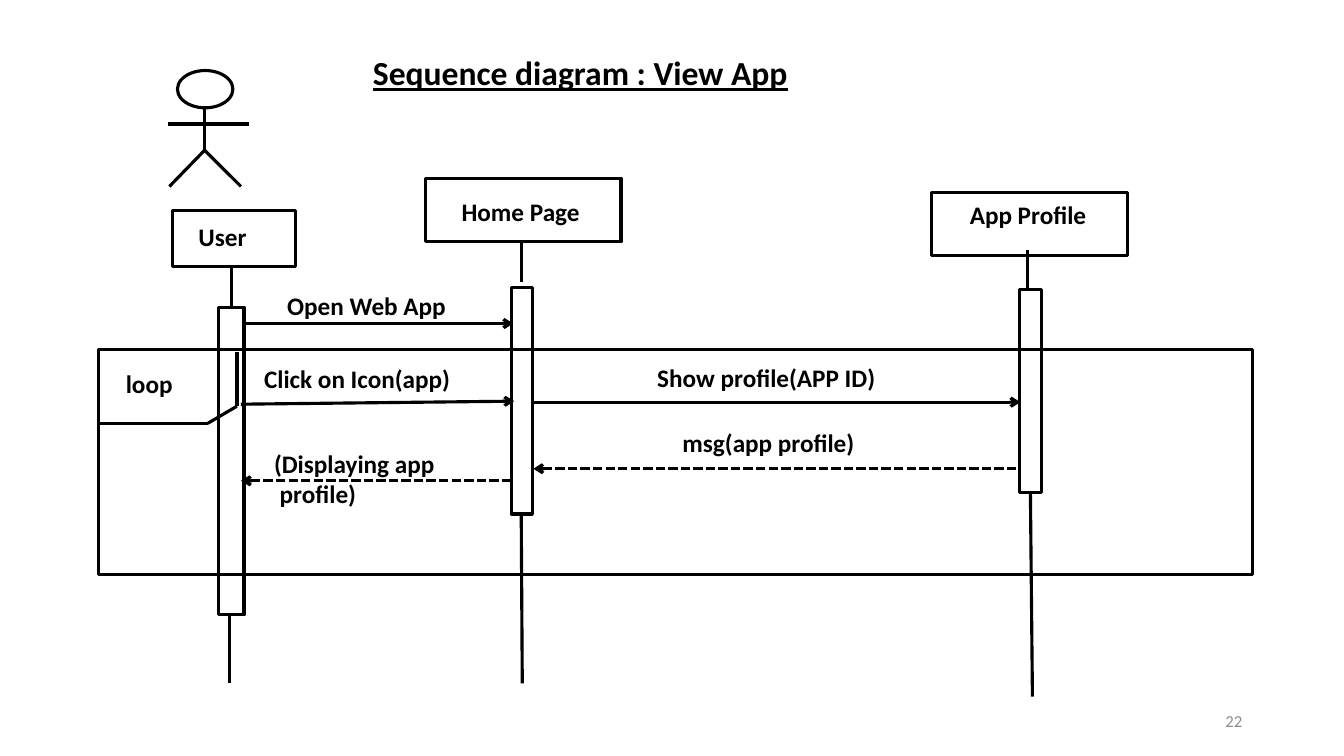
from pptx import Presentation
from pptx.util import Inches, Pt
from pptx.dml.color import RGBColor as RGB
from pptx.enum.dml import MSO_LINE as Dash
from pptx.enum.shapes import MSO_SHAPE as Shape, MSO_CONNECTOR as Link
from pptx.enum.text import MSO_ANCHOR as Anchor, PP_ALIGN as Align
from pptx.oxml.ns import qn
from lxml import etree

COLORS = {"ink": "000000", "page": "8C8C8C"}
INK = RGB.from_string(COLORS["ink"])

deck = Presentation()
deck.slide_width = Inches(13.33)
deck.slide_height = Inches(7.5)
slide = deck.slides.add_slide(deck.slide_layouts[6])


def add_line(x1, y1, x2, y2, arrow=False, dashed=False):
    line = slide.shapes.add_connector(
        Link.STRAIGHT, Inches(x1), Inches(y1), Inches(x2), Inches(y2))
    line.line.color.rgb = INK
    line.line.width = Pt(2.25)
    if dashed:
        line.line.dash_style = Dash.SQUARE_DOT
    props = line._element.spPr
    if arrow:
        etree.SubElement(props.find(qn("a:ln")), qn("a:tailEnd"), type="arrow")
    etree.SubElement(props, qn("a:effectLst"))


def add_text(text, x, y, w, h=0.4, size=18, color="ink", bold=True):
    box = slide.shapes.add_textbox(Inches(x), Inches(y), Inches(w), Inches(h))
    frame = box.text_frame
    frame.word_wrap = True
    frame.text = text
    for para in frame.paragraphs:
        for run in para.runs:
            run.font.name = "Calibri"
            run.font.size = Pt(size)
            run.font.bold = bold
            run.font.color.rgb = RGB.from_string(COLORS[color])
    return frame


head = (Shape.OVAL, 1.76, 0.7, 0.55, 0.37)
boxes = [
    (1.71, 2.09, 1.22, 0.55),
    (4.22, 1.77, 1.94, 0.63),
    (9.24, 1.91, 1.94, 0.63),
]
bars = [
    (2.17, 3.05, 0.25, 3.05),
    (5.07, 2.85, 0.21, 2.25),
    (10.11, 2.87, 0.22, 2.02),
]
loop = (0.98, 3.47, 11.44, 2.23)
rects = [(Shape.RECTANGLE, *area) for area in boxes + bars + [loop]]
for kind, x, y, w, h in [head] + rects:
    shape = slide.shapes.add_shape(kind, Inches(x), Inches(y), Inches(w), Inches(h))
    shape.shadow.inherit = False
    shape.fill.background()
    shape.line.color.rgb = INK
    shape.line.width = Pt(2.25)

limbs = [
    (2.03, 1.06, 2.03, 1.49),
    (2.47, 1.23, 1.67, 1.23),
    (2.04, 1.48, 1.68, 1.85),
    (2.39, 1.85, 2.02, 1.48),
]
lives = [
    (2.3, 2.64, 2.3, 3.07),
    (2.28, 6.1, 2.28, 6.78),
    (5.17, 2.41, 5.17, 2.8),
    (5.17, 5.11, 5.18, 6.78),
    (10.19, 2.48, 10.19, 2.88),
    (10.22, 4.89, 10.24, 6.91),
]
tab = [
    (0.96, 4.2, 2.06, 4.2),
    (2.06, 4.2, 2.35, 4.03),
    (2.35, 3.49, 2.35, 4.03),
]
for ends in limbs + lives + tab:
    add_line(*ends)

calls = [
    (2.44, 3.21, 5.09, 3.21),
    (2.39, 4.01, 5.1, 3.98),
    (5.29, 3.99, 10.12, 3.99),
]
for ends in calls:
    add_line(*ends, arrow=True)

replies = [
    (10.08, 4.65, 5.29, 4.65),
    (5.07, 4.77, 2.39, 4.77),
]
for ends in replies:
    add_line(*ends, arrow=True, dashed=True)

labels = [
    ("User", 1.87, 2.15, 1.22),
    ("Home Page", 4.48, 1.9, 1.66),
    ("App Profile", 9.52, 1.93, 1.66),
    ("Open Web App", 2.75, 2.83, 2.26),
    ("loop", 1.15, 3.6, 2.26),
    ("Click on Icon(app)", 2.52, 3.56, 2.58),
    ("Show profile(APP ID)", 6.42, 3.55, 2.95),
    ("msg(app profile)", 6.67, 4.19, 2.85),
    ("(Displaying app\n profile)", 2.62, 4.4, 3.04, 0.71),
]
for label in labels:
    add_text(*label)

title = add_text("Sequence diagram : View App", 3.6, 0.47, 7.02, 0.5, size=24)
title.paragraphs[0].runs[0].font.underline = True

page = add_text("22", 9.42, 6.95, 3, size=12, color="page", bold=False)
page.vertical_anchor = Anchor.MIDDLE
page.paragraphs[0].alignment = Align.RIGHT

deck.save("out.pptx")
